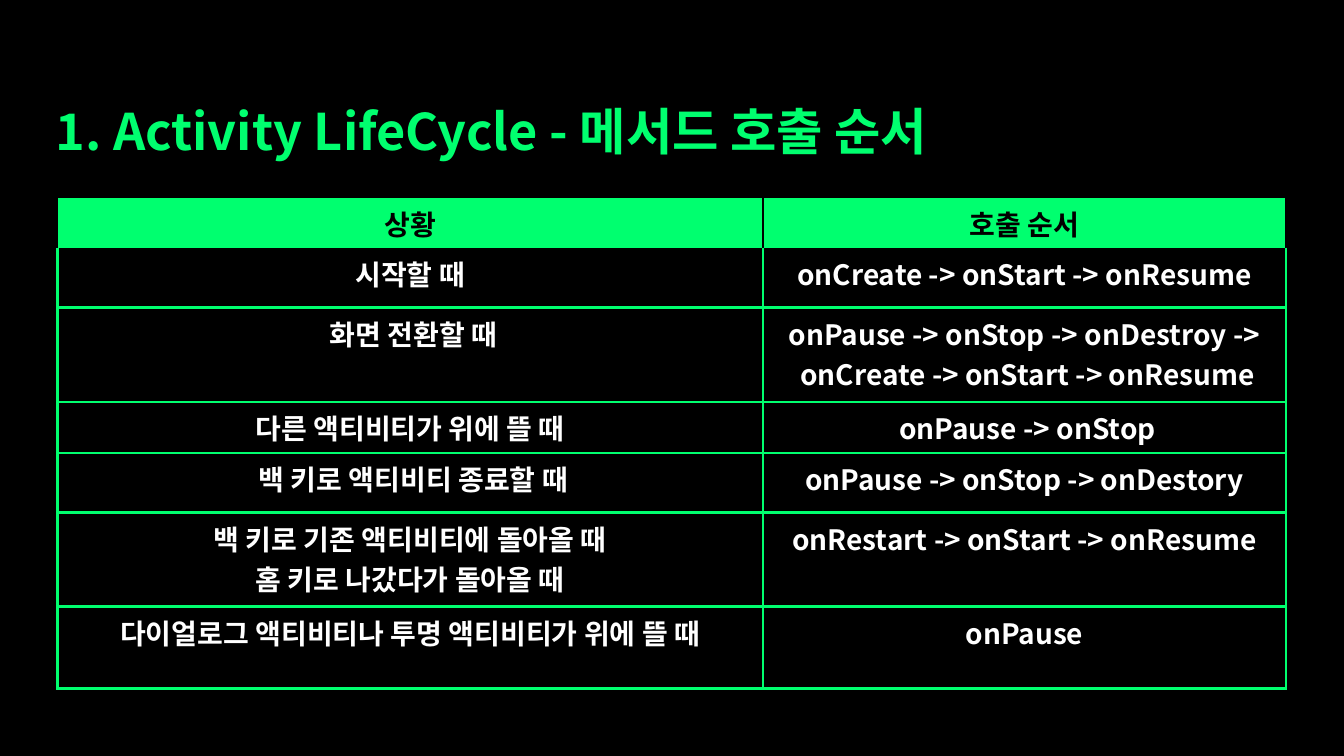
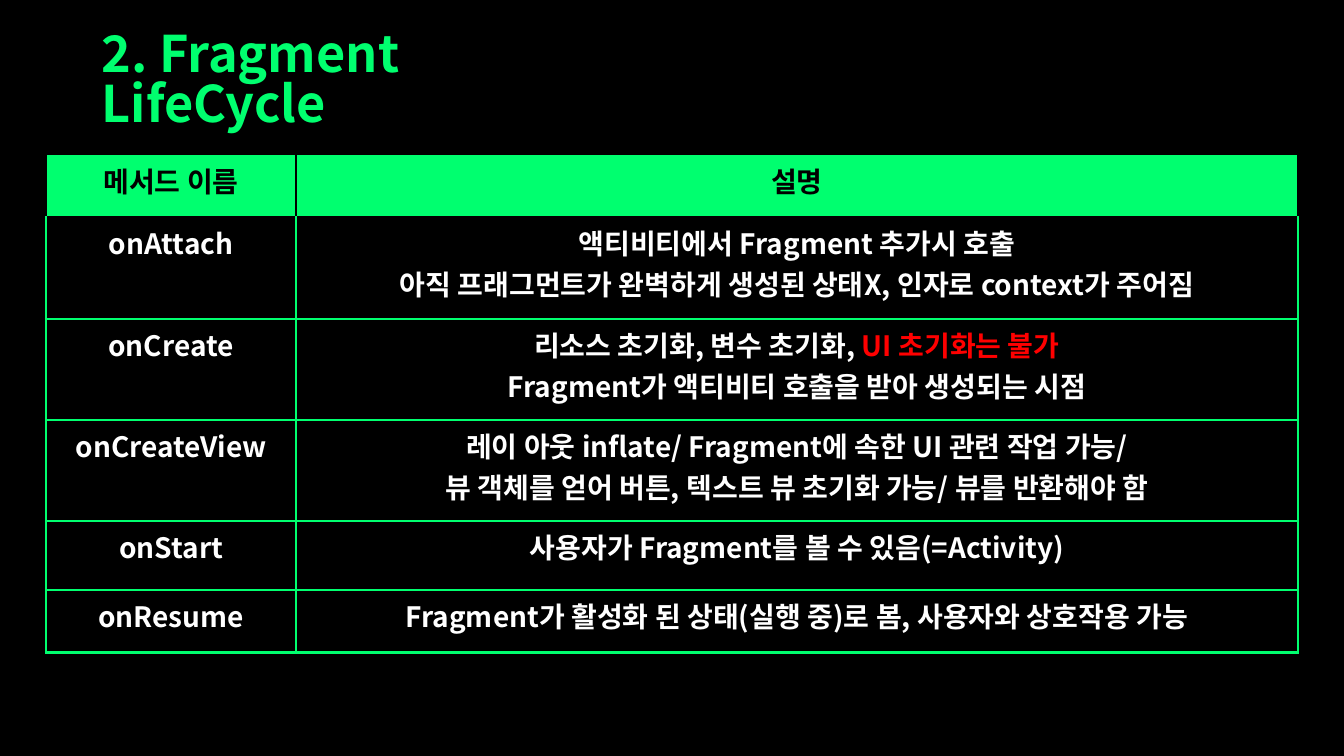
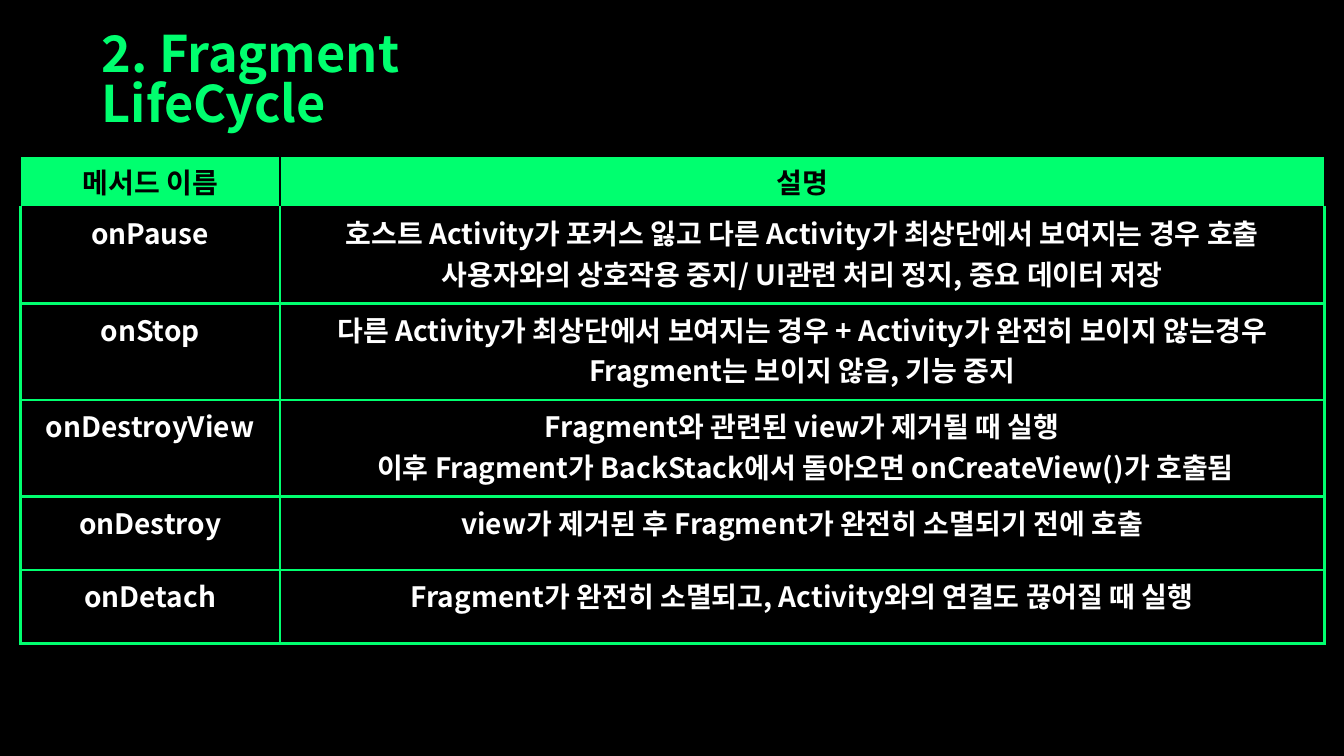
from lxml import etree
from pptx import Presentation
from pptx.dml.color import RGBColor
from pptx.enum.text import MSO_ANCHOR, MSO_AUTO_SIZE, PP_ALIGN
from pptx.oxml.ns import qn
from pptx.util import Pt

LEFT, CENTER = PP_ALIGN.LEFT, PP_ALIGN.CENTER
TOP = MSO_ANCHOR.TOP
NO_FIT = MSO_AUTO_SIZE.NONE
FONT = "Noto Sans CJK KR"
COLORS = {"back": "000000", "accent": "00FF6F", "text": "FFFFFF", "alert": "FF0000"}
HEADER_LINE = ("back", 1)
BODY_LINE = ("accent", 2)
TITLE_ONLY = 5

FRAGMENT_TITLE = ("2. Fragment LifeCycle", (65.5, 16.5, 391, 50.4))
FRAGMENT_HEADER = ("메서드 이름", "설명")

CALL_ORDER = [
    ("상황", "호출 순서"),
    ("시작할 때", "onCreate -> onStart -> onResume"),
    (" 화면 전환할 때", "onPause -> onStop -> onDestroy ->\n onCreate -> onStart -> onResume"),
    ("다른 액티비티가 위에 뜰 때", " onPause -> onStop"),
    (" 백 키로 액티비티 종료할 때", "onPause -> onStop -> onDestory"),
    ("백 키로 기존 액티비티에 돌아올 때\n홈 키로 나갔다가 돌아올 때", "onRestart -> onStart -> onResume"),
    ("다이얼로그 액티비티나 투명 액티비티가 위에 뜰 때", "onPause"),
]
FRAGMENT_START = [
    FRAGMENT_HEADER,
    ("onAttach", "액티비티에서 Fragment 추가시 호출\n"
                 "아직 프래그먼트가 완벽하게 생성된 상태X, 인자로 context가 주어짐"),
    ("onCreate", "리소스 초기화, 변수 초기화, |UI 초기화는 불가\n"
                 "Fragment가 액티비티 호출을 받아 생성되는 시점"),
    ("onCreateView", "레이 아웃 inflate/ Fragment에 속한 UI 관련 작업 가능/\n"
                     "뷰 객체를 얻어 버튼, 텍스트 뷰 초기화 가능/ 뷰를 반환해야 함"),
    ("onStart", "사용자가 Fragment를 볼 수 있음(=Activity)"),
    ("onResume", "Fragment가 활성화 된 상태(실행 중)로 봄, 사용자와 상호작용 가능"),
]
FRAGMENT_END = [
    FRAGMENT_HEADER,
    ("onPause", "호스트 Activity가 포커스 잃고 다른 Activity가 최상단에서 보여지는 경우 호출\n"
                "사용자와의 상호작용 중지/ UI관련 처리 정지, 중요 데이터 저장"),
    ("onStop", "다른 Activity가 최상단에서 보여지는 경우 + Activity가 완전히 보이지 않는경우\n"
               "Fragment는 보이지 않음, 기능 중지"),
    ("onDestroyView", "Fragment와 관련된 view가 제거될 때 실행\n"
                      " 이후 Fragment가 BackStack에서 돌아오면 onCreateView()가 호출됨"),
    ("onDestroy", "view가 제거된 후 Fragment가 완전히 소멸되기 전에 호출"),
    ("onDetach", "Fragment가 완전히 소멸되고, Activity와의 연결도 끊어질 때 실행"),
]


def rgb(name):
    """Return a palette colour."""
    return RGBColor.from_string(COLORS[name])


def format_run(r, size, color):
    """Give a run the deck's bold font for Latin and Korean text."""
    r.font.size, r.font.bold, r.font.name = Pt(size), True, FONT
    r.font.color.rgb = rgb(color)
    etree.SubElement(r._r.get_or_add_rPr(), qn("a:ea"), typeface=FONT)


def add_title(s, text, box):
    """Fill and place the title placeholder."""
    sp = s.shapes.title
    sp.left, sp.top, sp.width, sp.height = map(Pt, box)
    tf = sp.text_frame
    tf.text = text
    tf.word_wrap, tf.auto_size, tf.vertical_anchor = True, NO_FIT, TOP
    tf.margin_top = Pt(6)
    p = tf.paragraphs[0]
    p.alignment, p.line_spacing = LEFT, 0.84
    format_run(p.runs[0], 36, "accent")


def set_borders(cell, lines):
    """Draw the left, right, top and bottom borders of a cell."""
    tcPr = cell._tc.get_or_add_tcPr()
    for i, (side, (color, width)) in enumerate(zip("LRTB", lines)):
        ln = etree.Element(qn(f"a:ln{side}"), w=str(Pt(width)))
        fill = etree.SubElement(ln, qn("a:solidFill"))
        etree.SubElement(fill, qn("a:srgbClr"), val=COLORS[color])
        tcPr.insert(i, ln)


def fill_cell(cell, text, fill, color):
    """Write centred lines into a cell, with text after a bar as an alert."""
    cell.fill.solid()
    cell.fill.fore_color.rgb = rgb(fill)
    tf = cell.text_frame
    tf.text = text
    for p in tf.paragraphs:
        plain, _, alert = p.text.partition("|")
        p.text, p.alignment = plain, CENTER
        format_run(p.runs[0], 20, color)
        if alert:
            r = p.add_run()
            r.text = alert
            format_run(r, 20, "alert")


def add_table(s, left, top, widths, heights, rows):
    """Add a table with a bright header row and outlined dark body rows."""
    size = map(Pt, (left, top, sum(widths), sum(heights)))
    table = s.shapes.add_table(len(rows), len(widths), *size).table
    table.horz_banding = False
    for column, width in zip(table.columns, widths):
        column.width = Pt(width)
    for i, (row, height, texts) in enumerate(zip(table.rows, heights, rows)):
        row.height = Pt(height)
        fill, color, line = ("back", "text", BODY_LINE) if i else ("accent", "back", HEADER_LINE)
        top_line = BODY_LINE if i > 1 else HEADER_LINE
        for cell, text in zip(row.cells, texts):
            fill_cell(cell, text, fill, color)
            set_borders(cell, (line, line, top_line, line))


def add_table_slide(prs, title, table):
    """Add a slide with a title and one table."""
    s = prs.slides.add_slide(prs.slide_layouts[TITLE_ONLY])
    add_title(s, *title)
    add_table(s, *table)


def main():
    """Build the deck."""
    prs = Presentation()
    prs.slide_width, prs.slide_height = Pt(960), Pt(540)
    back = prs.slide_master.background.fill
    back.solid()
    back.fore_color.rgb = rgb("back")

    add_table_slide(
        prs, ("1. Activity LifeCycle - 메서드 호출 순서", (32.5, 72.5, 651.5, 50.4)),
        (41, 141, (504, 373.5), (34.5, 42.5, 67.5, 36.5, 42.5, 67, 58.5), CALL_ORDER))
    add_table_slide(
        prs, FRAGMENT_TITLE,
        (33, 110.5, (178.5, 715.5), (44.5, 73, 72, 72, 49.5, 44.5), FRAGMENT_START))
    add_table_slide(
        prs, FRAGMENT_TITLE,
        (14.5, 111.5, (185.5, 746), (34, 69, 69, 69, 52.5, 52.5), FRAGMENT_END))
    prs.save("out.pptx")


if __name__ == "__main__":
    main()
